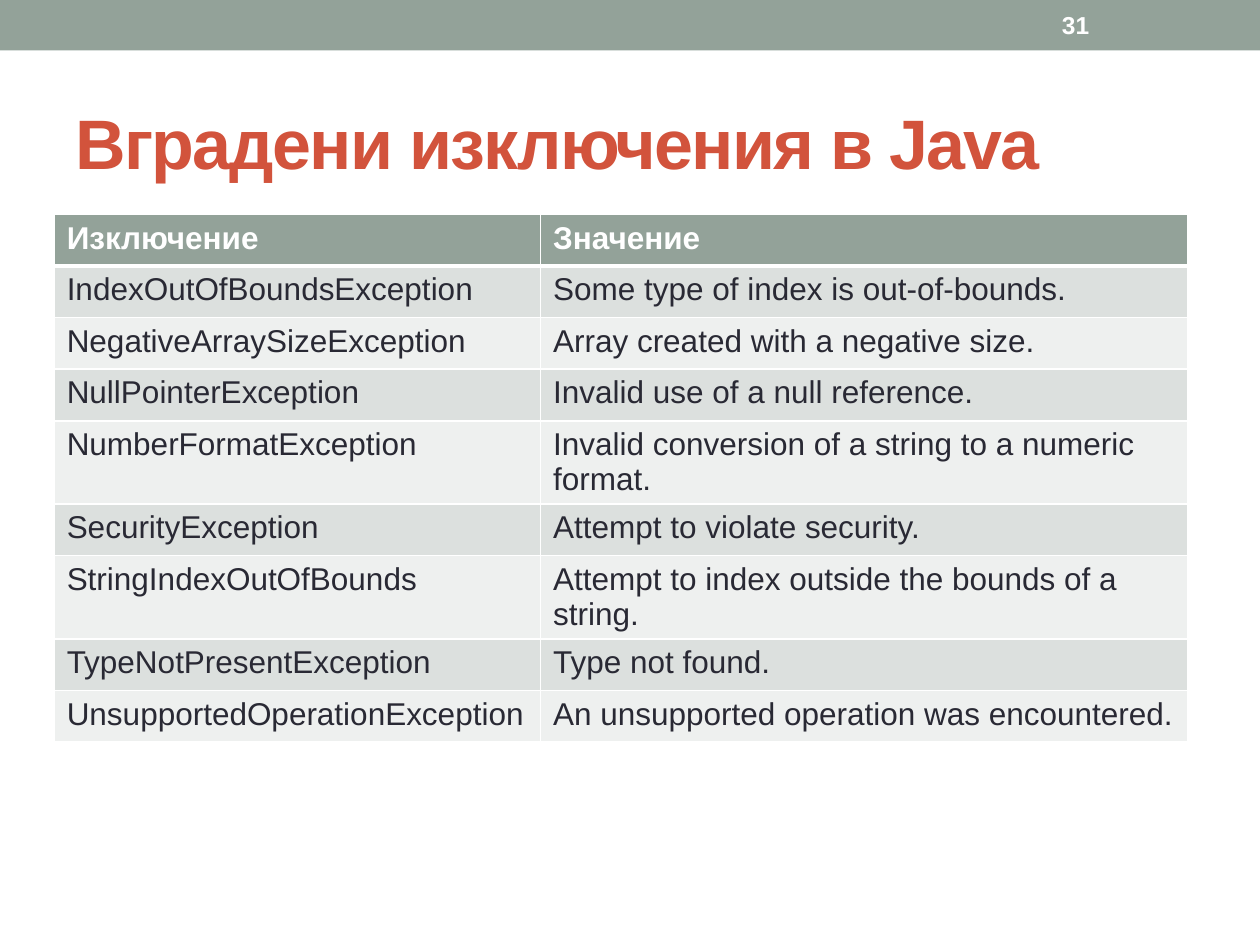
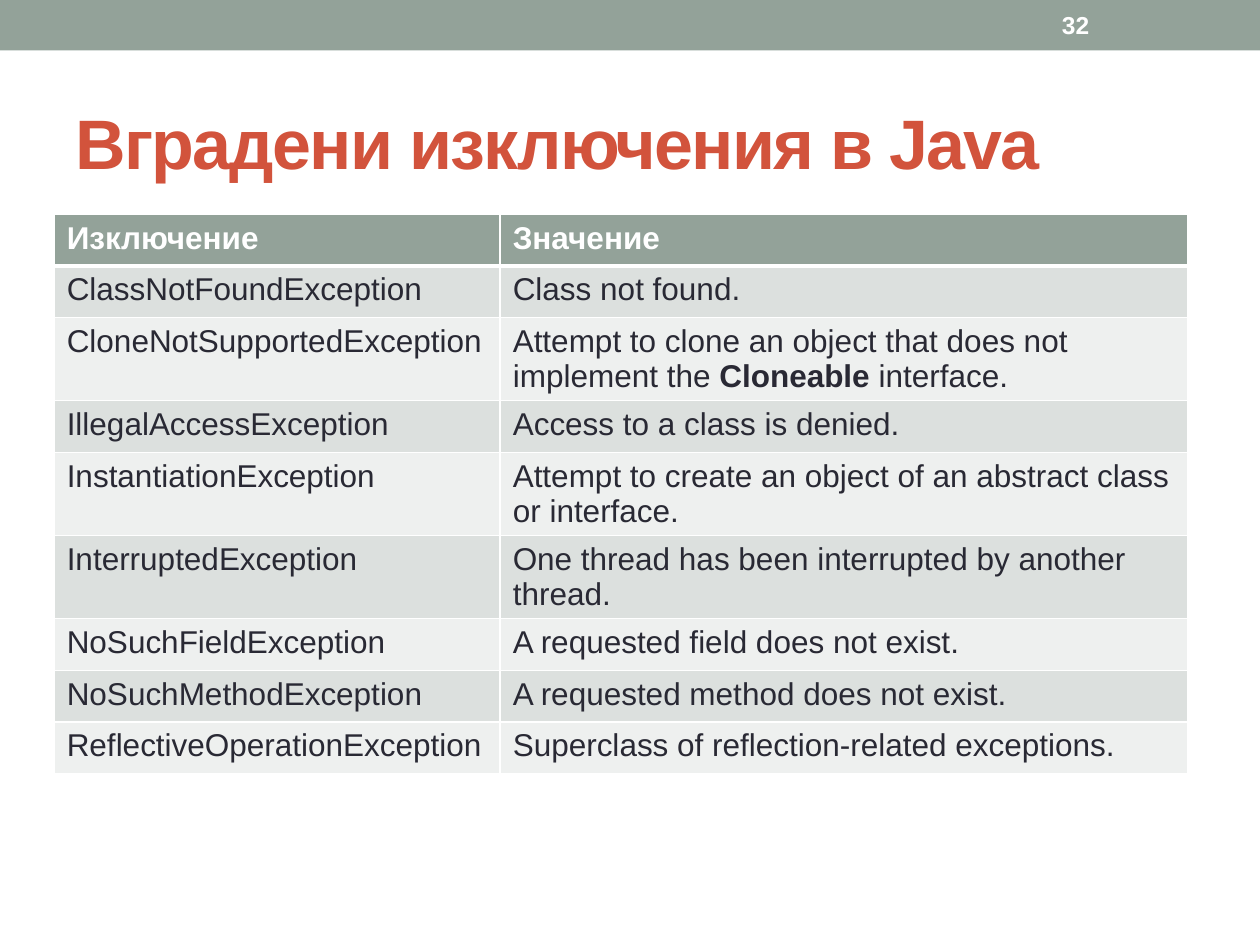
from dataclasses import dataclass

from lxml.etree import SubElement
from pptx import Presentation
from pptx.dml.color import RGBColor
from pptx.enum.shapes import MSO_SHAPE
from pptx.enum.text import MSO_ANCHOR, MSO_AUTO_SIZE, PP_ALIGN
from pptx.oxml.ns import qn
from pptx.util import Inches, Pt


@dataclass(frozen=True)
class Theme:
    font: str = "Arial"
    sage: str = "93A299"
    brick: str = "D2533C"
    ink: str = "292934"
    white: str = "FFFFFF"
    odd_row: str = "DCE0DE"
    even_row: str = "EEF0EF"
    title_size: int = 40
    table_size: int = 18
    number_size: int = 14
    thin_rule: int = 1
    thick_rule: int = 3


THEME = Theme()
TITLE = "Вградени изключения в Java"
HEADER = ("Изключение", "Значение")
TABLE_WIDTH = 9
ROW_HEIGHT = 0.41

# Slide number, width of the name column, exceptions; ** marks bold words
SLIDES = [
    (31, 3.86, [
        ("IndexOutOfBoundsException", "Some type of index is out-of-bounds."),
        ("NegativeArraySizeException", "Array created with a negative size."),
        ("NullPointerException", "Invalid use of a null reference."),
        ("NumberFormatException",
         "Invalid conversion of a string to a numeric format."),
        ("SecurityException", "Attempt to violate security."),
        ("StringIndexOutOfBounds",
         "Attempt to index outside the bounds of a string."),
        ("TypeNotPresentException", "Type not found."),
        ("UnsupportedOperationException",
         "An unsupported operation was encountered."),
    ]),
    (32, 3.54, [
        ("ClassNotFoundException", "Class not found."),
        ("CloneNotSupportedException",
         "Attempt to clone an object that does not implement the "
         "**Cloneable **interface."),
        ("IllegalAccessException", "Access to a class is denied."),
        ("InstantiationException",
         "Attempt to create an object of an abstract class or interface."),
        ("InterruptedException",
         "One thread has been interrupted by another thread."),
        ("NoSuchFieldException", "A requested field does not exist."),
        ("NoSuchMethodException", "A requested method does not exist."),
        ("ReflectiveOperationException",
         "Superclass of reflection-related exceptions."),
    ]),
]


def rgb(code):
    return RGBColor.from_string(code)


def style_run(run, size, color, bold=False):
    run.font.name = THEME.font
    run.font.size = Pt(size)
    run.font.bold = bold
    run.font.color.rgb = rgb(color)


def add_master_band(prs, slide):
    """Draw the top band once and move it to the back of the master."""
    band = slide.shapes.add_shape(
        MSO_SHAPE.RECTANGLE, 0, 0, prs.slide_width, Inches(0.4))
    band.shadow.inherit = False
    band.fill.solid()
    band.fill.fore_color.rgb = rgb(THEME.sage)
    band.line.fill.background()
    band.element.xpath(".//p:cNvPr")[0].set("id", "100")
    prs.slide_master.shapes.element.insert(2, band.element)


def set_title(slide):
    title = slide.shapes.title
    title.left, title.top = Inches(0.5), Inches(0.58)
    title.width, title.height = Inches(9.5), Inches(1.08)
    frame = title.text_frame
    frame.text = TITLE
    frame.auto_size = MSO_AUTO_SIZE.NONE
    frame.vertical_anchor = MSO_ANCHOR.MIDDLE
    heading = frame.paragraphs[0]
    heading.alignment = PP_ALIGN.LEFT
    style_run(heading.runs[0], THEME.title_size, THEME.brick, bold=True)
    heading.runs[0].font._element.set("spc", "-100")


def add_slide_number(slide, number):
    box = slide.shapes.add_textbox(
        Inches(8.33), Inches(0.02), Inches(1.17), Inches(0.36))
    frame = box.text_frame
    frame.word_wrap = True
    frame.vertical_anchor = MSO_ANCHOR.MIDDLE
    frame.text = str(number)
    style_run(frame.paragraphs[0].runs[0], THEME.number_size, THEME.white,
              bold=True)


def set_borders(cell, top, bottom):
    properties = cell._tc.get_or_add_tcPr()
    widths = {"a:lnL": THEME.thin_rule, "a:lnR": THEME.thin_rule,
              "a:lnT": top, "a:lnB": bottom}
    for side, width in widths.items():
        rule = SubElement(properties, qn(side), w=str(int(Pt(width))))
        fill = SubElement(rule, qn("a:solidFill"))
        SubElement(fill, qn("a:srgbClr"), val=THEME.white)


def fill_cell(cell, text, row):
    is_header = row == 0
    set_borders(cell,
                top=THEME.thick_rule if row == 1 else THEME.thin_rule,
                bottom=THEME.thick_rule if is_header else THEME.thin_rule)
    if is_header:
        background = THEME.sage
    else:
        background = THEME.odd_row if row % 2 else THEME.even_row
    cell.fill.solid()
    cell.fill.fore_color.rgb = rgb(background)

    paragraph = cell.text_frame.paragraphs[0]
    for index, part in enumerate(text.split("**")):
        run = paragraph.add_run()
        run.text = part
        style_run(run, THEME.table_size,
                  THEME.white if is_header else THEME.ink,
                  bold=is_header or index % 2 == 1)


def add_exception_table(slide, name_width, exceptions):
    rows = [HEADER, *exceptions]
    table = slide.shapes.add_table(
        len(rows), len(HEADER), Inches(0.43), Inches(1.7),
        Inches(TABLE_WIDTH), Inches(ROW_HEIGHT * len(rows))).table
    table.columns[0].width = Inches(name_width)
    table.columns[1].width = Inches(TABLE_WIDTH - name_width)
    for row, texts in enumerate(rows):
        table.rows[row].height = Inches(ROW_HEIGHT)
        for column, text in enumerate(texts):
            fill_cell(table.cell(row, column), text, row)


def main():
    prs = Presentation()
    prs.slide_width, prs.slide_height = Inches(10), Inches(7.5)
    title_only = prs.slide_layouts[5]
    for number, name_width, exceptions in SLIDES:
        slide = prs.slides.add_slide(title_only)
        set_title(slide)
        add_exception_table(slide, name_width, exceptions)
        add_slide_number(slide, number)
    # Shared band on the master
    add_master_band(prs, prs.slides[0])
    prs.save("out.pptx")


main()
